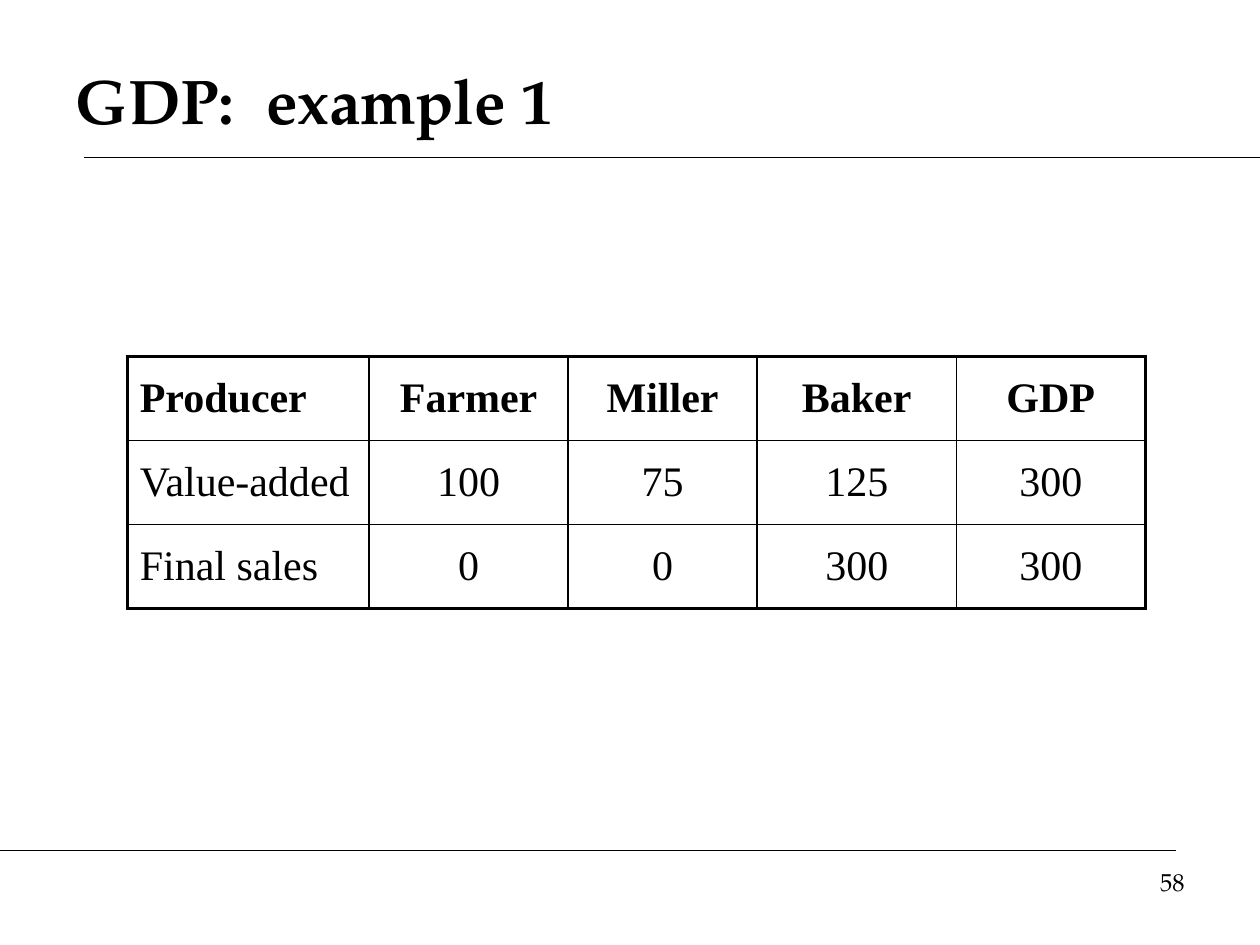
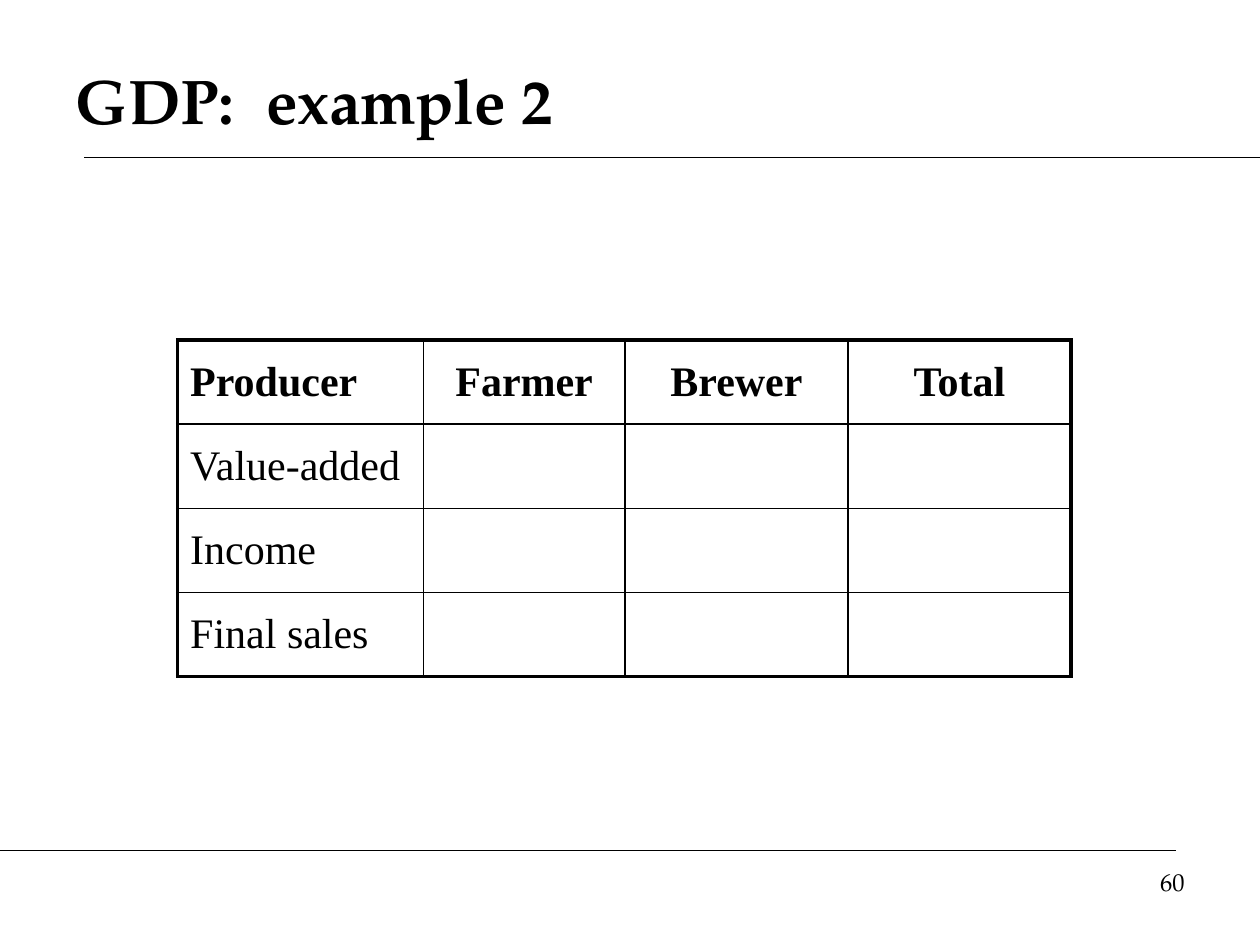
from dataclasses import dataclass

from lxml.etree import SubElement
from pptx import Presentation
from pptx.dml.color import RGBColor
from pptx.enum.shapes import MSO_CONNECTOR
from pptx.enum.text import MSO_ANCHOR, MSO_AUTO_SIZE, PP_ALIGN
from pptx.oxml import parse_xml
from pptx.oxml.ns import nsdecls, qn
from pptx.slide import Slide
from pptx.table import _Cell as Cell
from pptx.text.text import TextFrame
from pptx.util import Inches, Pt

BLACK = "000000"
HEADING_FONT = "TeX Gyre Pagella"
TABLE_FONT = "Times New Roman"
ROW_HEIGHT = 0.667
INNER_BORDER, OUTER_BORDER = 1, 2.25
TITLE_ONLY = 5


@dataclass(frozen=True)
class Rule:
    left: float
    right: float
    top: float


@dataclass(frozen=True)
class TableSlide:
    title: str
    number: str
    left: float
    top: float
    widths: tuple[float, ...]
    rows: tuple[tuple[str, ...], ...]


RULES = (Rule(0.67, 10, 1.25), Rule(0, 9.33, 6.75))

TABLE_SLIDES = (
    TableSlide(
        "GDP:  example 1", "58", 1.01, 2.83, (1.92, 1.58, 1.5, 1.58, 1.5),
        (
            ("Producer", "Farmer", "Miller", "Baker", "GDP"),
            ("Value-added", "100", "75", "125", "300"),
            ("Final sales", "0", "0", "300", "300"),
        ),
    ),
    TableSlide(
        "GDP:  example 2", "60", 1.41, 2.7, (1.95, 1.6, 1.77, 1.77),
        (
            ("Producer", "Farmer", "Brewer", "Total"),
            ("Value-added", "", "", ""),
            ("Income", "", "", ""),
            ("Final sales", "", "", ""),
        ),
    ),
)


def color(value: str) -> RGBColor:
    return RGBColor.from_string(value)


def write(frame: TextFrame, text: str, font: str, size: float,
          bold: bool = False, align: PP_ALIGN = PP_ALIGN.LEFT) -> None:
    paragraph = frame.paragraphs[0]
    paragraph.alignment = align
    run = paragraph.add_run()
    run.text = text
    run.font.name = font
    run.font.size = Pt(size)
    run.font.bold = bold
    run.font.color.rgb = color(BLACK)


def add_title(slide: Slide, text: str) -> None:
    title = slide.shapes.title
    title.left, title.top = Inches(0.5), Inches(0.33)
    title.width, title.height = Inches(9), Inches(0.92)
    frame = title.text_frame
    frame.auto_size = MSO_AUTO_SIZE.NONE
    frame.vertical_anchor = MSO_ANCHOR.MIDDLE
    write(frame, text, HEADING_FONT, 36, bold=True)


def add_rule(slide: Slide, rule: Rule) -> None:
    line = slide.shapes.add_connector(
        MSO_CONNECTOR.STRAIGHT, Inches(rule.left), Inches(rule.top),
        Inches(rule.right), Inches(rule.top))
    line.line.color.rgb = color(BLACK)
    line.line.width = Pt(0.75)
    SubElement(line.element.spPr, qn("a:effectLst"))


def add_number(slide: Slide, number: str) -> None:
    box = slide.shapes.add_textbox(
        Inches(7.17), Inches(6.83), Inches(2.33), Inches(0.52))
    box.text_frame.word_wrap = True
    write(box.text_frame, number, HEADING_FONT, 14, align=PP_ALIGN.RIGHT)


def set_borders(cell: Cell, outer_sides: dict[str, bool]) -> None:
    """Draw each side of the cell, heavier where it is the table's edge."""
    properties = cell._tc.get_or_add_tcPr()
    for position, (side, is_outer) in enumerate(outer_sides.items()):
        width = Pt(OUTER_BORDER if is_outer else INNER_BORDER)
        properties.insert(position, parse_xml(
            f'<a:ln{side} {nsdecls("a")} w="{width}"><a:solidFill>'
            f'<a:srgbClr val="{BLACK}"/></a:solidFill></a:ln{side}>'))


def add_table(slide: Slide, content: TableSlide) -> None:
    last_row, last_column = len(content.rows) - 1, len(content.widths) - 1
    table = slide.shapes.add_table(
        last_row + 1, last_column + 1, Inches(content.left), Inches(content.top),
        Inches(sum(content.widths)), Inches(ROW_HEIGHT * len(content.rows))).table
    table.first_row = table.horz_banding = False
    for column, width in zip(table.columns, content.widths):
        column.width = Inches(width)
    for row_index, texts in enumerate(content.rows):
        table.rows[row_index].height = Inches(ROW_HEIGHT)
        for column_index, text in enumerate(texts):
            cell = table.cell(row_index, column_index)
            cell.fill.background()
            cell.vertical_anchor = MSO_ANCHOR.MIDDLE
            set_borders(cell, {
                "L": column_index == 0, "R": column_index == last_column,
                "T": row_index == 0, "B": row_index == last_row})
            if text:
                write(cell.text_frame, text, TABLE_FONT, 24, bold=row_index == 0,
                      align=PP_ALIGN.CENTER if column_index else PP_ALIGN.LEFT)


def main() -> None:
    presentation = Presentation()
    presentation.slide_width = Inches(10)
    presentation.slide_height = Inches(7.5)
    for content in TABLE_SLIDES:
        slide = presentation.slides.add_slide(presentation.slide_layouts[TITLE_ONLY])
        for rule in RULES:
            add_rule(slide, rule)
        add_title(slide, content.title)
        add_number(slide, content.number)
        add_table(slide, content)
    presentation.save("out.pptx")


if __name__ == "__main__":
    main()
